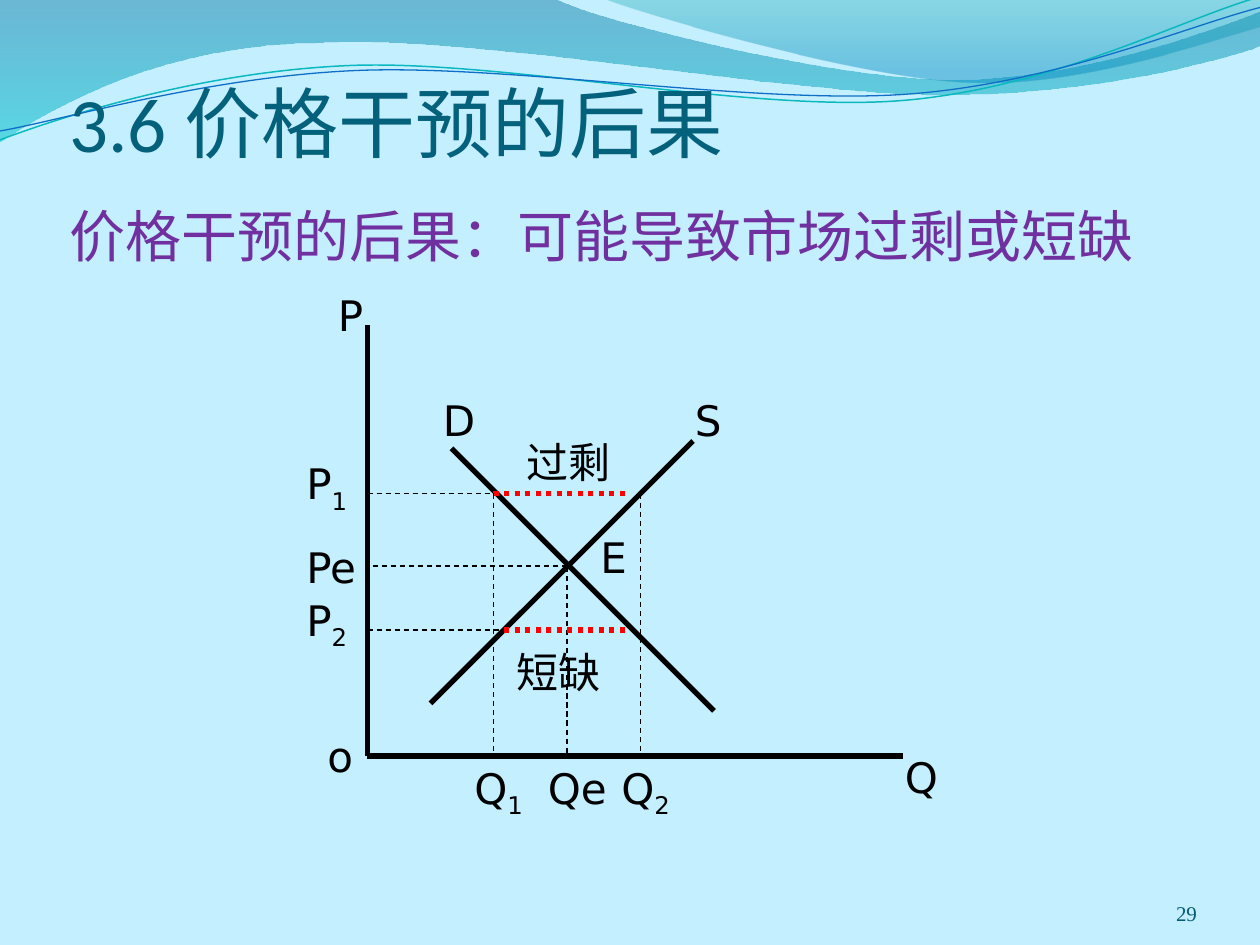
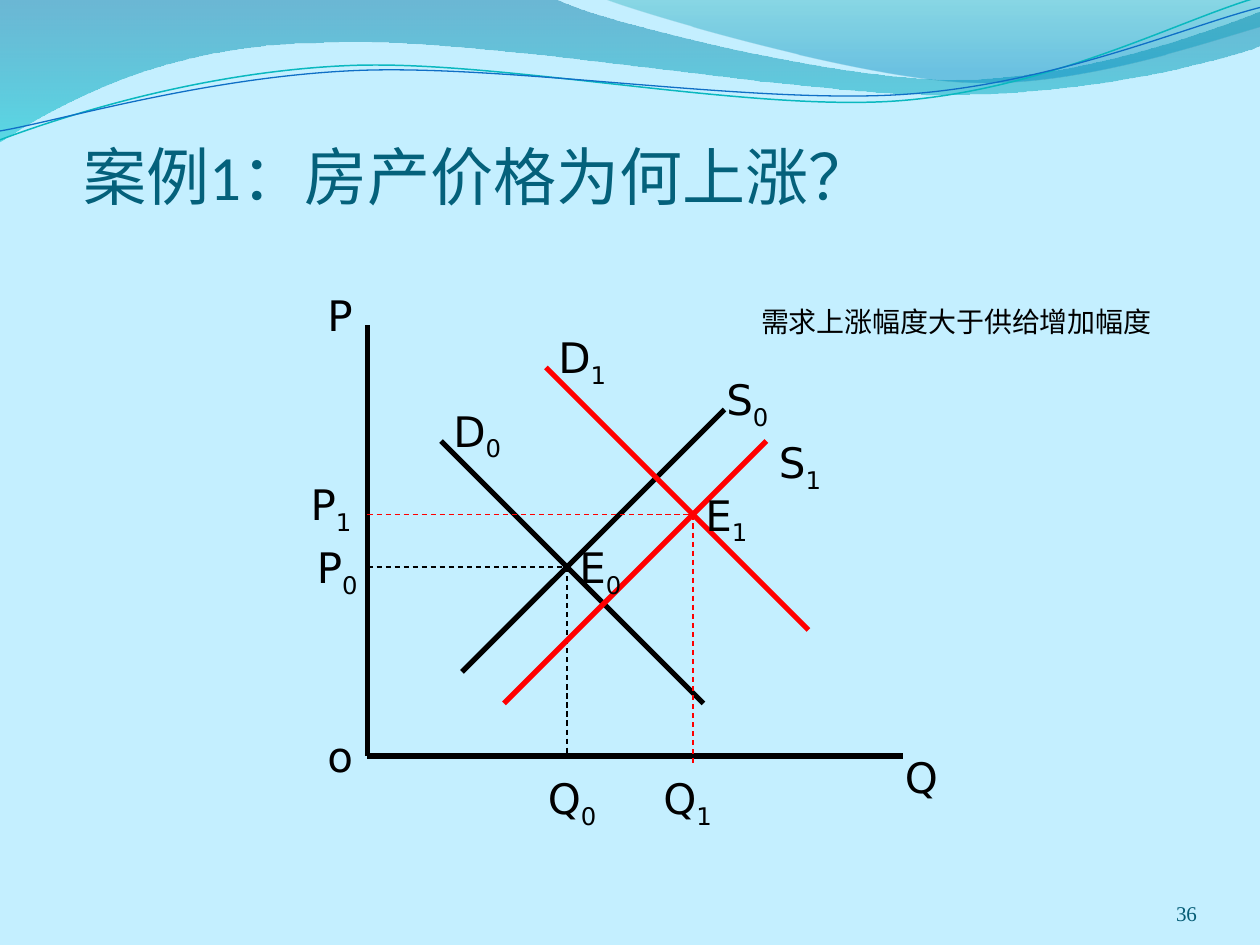
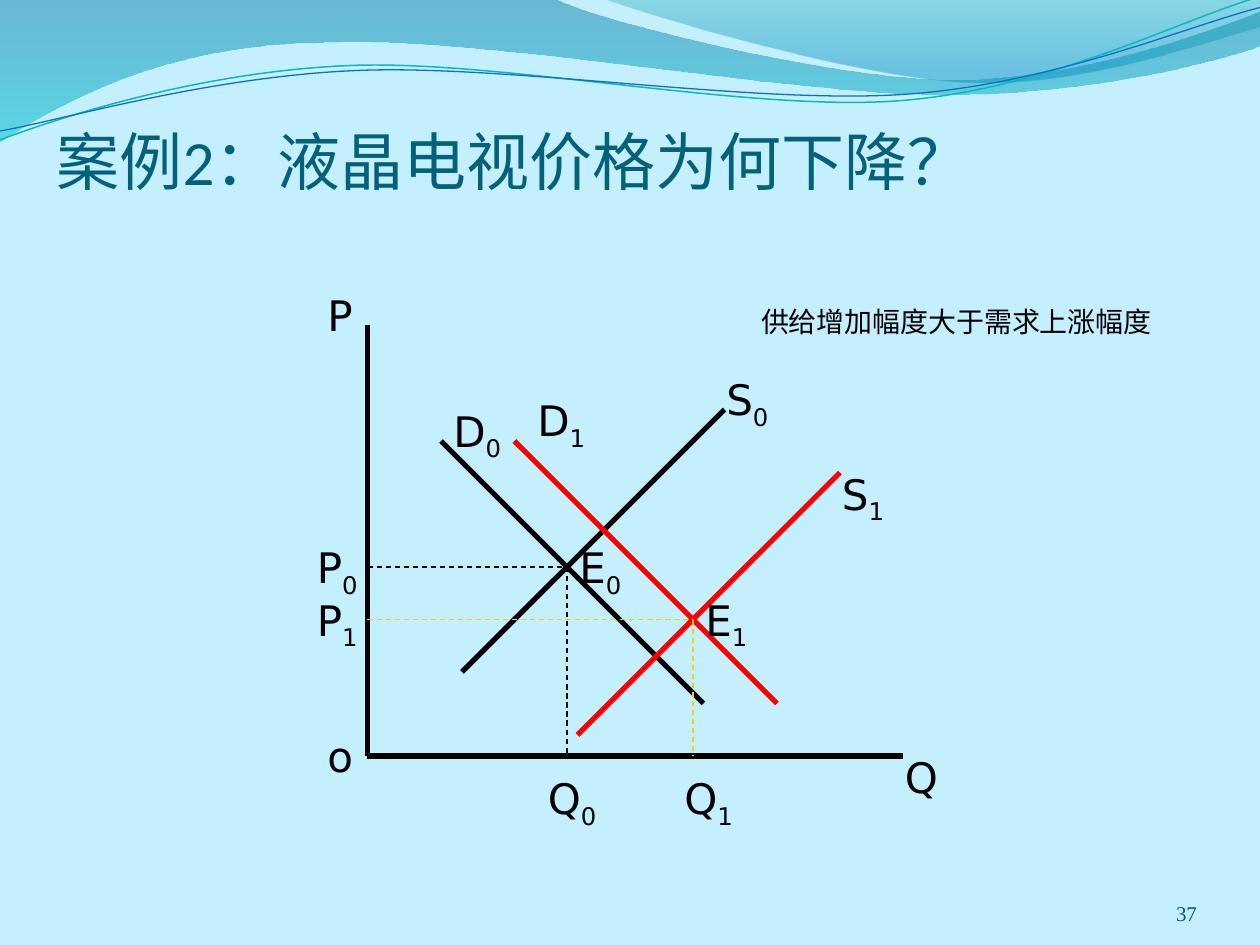
"""Builds three supply-and-demand slides on a shared wave theme."""
from math import cos, radians, sin
from lxml.etree import SubElement
from pptx import Presentation
from pptx.dml.color import RGBColor
from pptx.enum.dml import MSO_LINE
from pptx.enum.shapes import MSO_CONNECTOR
from pptx.enum.text import MSO_ANCHOR, MSO_AUTO_SIZE, PP_ALIGN
from pptx.oxml.ns import qn
from pptx.util import Cm, Pt

COLORS = {
    "sky": "C4EFFF", "title": "04617B", "subtitle": "7030A0", "number": "045C75",
    "ink": "000000", "red": "FF0000", "gold": "FFCC00",
    "teal_line": "0AB8BF", "blue_line": "0F6FC6",
    "deep": "0074A1", "aqua": "00C6CF", "sea": "00A1A9", "azure": "008BBF",
}
CJK, LABEL, HEADING, SERIF = "Noto Sans CJK SC", "DejaVu Sans", "Calibri", "Times New Roman"

BANDS = [
    ([(0, -0.01), (4.4, -0.01), (4.76, 0.17, 6.64, 0.63, 7.58, 0.63),
      (8.53, 0.63, 9.58, 0.26, 10, 0.09), (10.01, 0.36),
      (9.83, 0.44, 8.7, 0.76, 7.46, 0.75), (6.22, 0.75, 3.82, 0.28, 2.57, 0.34),
      (1.29, 0.35, 0.46, 0.83, -0.01, 1.13)],
     1.14, [(0, "deep", 45), (1, "aqua", 55)]),
    ([(4.79, -0.01), (5.09, 0.11, 6.82, 0.62, 7.69, 0.65),
      (8.56, 0.69, 9.61, 0.32, 10, 0.21), (10, 0)],
     0.7, [(0, "sea", 30), (0.8, "azure", 45)]),
]
STRANDS = [
    ([(0, 1.11), (0.48, 0.93, 1.58, 0.57, 2.77, 0.52), (3.95, 0.47, 5.93, 0.89, 7.13, 0.8),
      (8.33, 0.71, 9.38, 0.15, 9.98, -0.02)], 0.71, (4.99, 0.58), "teal_line", 0.85),
    ([(0, 1.04), (0.47, 0.96, 1.64, 0.61, 2.83, 0.56), (4.03, 0.51, 5.97, 0.83, 7.17, 0.75),
      (8.36, 0.67, 9.41, 0.21, 10, 0.06)], 0.58, (5, 0.59), "blue_line", 0.75),
]
TILT = 2.7

STYLES = {
    "solid": ("ink", 3, None), "shifted": ("red", 3, None),
    "gap": ("red", 3, MSO_LINE.ROUND_DOT), "guide": ("ink", 0.75, MSO_LINE.DASH),
    "red_guide": ("red", 0.75, MSO_LINE.DASH), "gold_guide": ("gold", 0.75, MSO_LINE.DASH),
}
AXES = [("solid", 35, 31, 35, 72), ("solid", 35, 72, 86, 72)]
AXIS_LABELS = [("o", 30, 69), ("Q", 85, 71)]
START_LINES = [
    ("solid", 42, 42, 67, 67), ("solid", 44, 64, 69, 39),
    ("guide", 35, 54, 54, 54), ("guide", 54, 54, 54, 72),
]
START_LABELS = [("S_0", 68, 35), ("Q_0", 51, 73), ("E_0", 54, 51), ("P_0", 29, 51), ("D_0", 42, 38)]

SLIDES = [
    {
        "number": "29", "title_box": (0.55, 1.47, 8.5, 0.66), "spacing": 1.5,
        "title": [("3.6 价格干预的后果\v", 44, HEADING, "title"),
                  ("价格干预的后果：可能导致市场过剩或短缺", 32, CJK, "subtitle")],
        "lines": [
            ("solid", 43, 42.7, 68, 67.7), ("solid", 41, 67, 66, 42),
            ("guide", 35.5, 53.9, 54.5, 53.9), ("guide", 54, 54, 54, 72),
            ("guide", 35, 47, 47, 47), ("gap", 47, 47, 60, 47),
            ("guide", 35, 60, 48, 60), ("gap", 48, 60, 60, 60),
            ("guide", 47, 47, 47, 72), ("guide", 61, 47, 61, 72),
        ],
        "labels": {
            7: [("P", 31, 27), ("D", 41, 37), ("S", 65, 37), ("E", 56, 50)],
            11: [("Pe", 28, 51), ("Qe", 51, 72), ("P_1", 28, 43), ("P_2", 28, 56),
                 ("Q_1", 44, 72), ("Q_2", 58, 72)],
            13: [("过剩", 49, 41), ("短缺", 48, 61)],
        },
    },
    {
        "number": "36", "title_box": (0.66, 0.97, 9, 0.72),
        "title": [("案例1：房产价格为何上涨？", 36, HEADING, "title")],
        "remark": "需求上涨幅度大于供给增加幅度",
        "lines": START_LINES + [
            ("shifted", 48, 67, 73, 42), ("shifted", 52, 35, 77, 60),
            ("red_guide", 35, 49, 66, 49), ("red_guide", 66, 49, 66, 73),
        ],
        "labels": {
            7: [("P", 30, 27)],
            12: START_LABELS + [("S_1", 73, 41), ("D_1", 52, 31), ("E_1", 66, 46),
                                ("Q_1", 62, 73), ("P_1", 28.4, 45)],
        },
    },
    {
        "number": "37", "title_box": (0.45, 0.32, 9, 1.25),
        "title": [("案例2：液晶电视价格为何下降？", 36, HEADING, "title")],
        "remark": "供给增加幅度大于需求上涨幅度",
        "lines": START_LINES + [
            ("shifted", 55, 70, 80, 45), ("shifted", 49, 42, 74, 67),
            ("gold_guide", 35, 59, 66, 59), ("gold_guide", 66, 59, 66, 72),
        ],
        "labels": {
            7: [("P", 30, 27)],
            12: START_LABELS + [("S_1", 79, 44), ("D_1", 50, 37), ("E_1", 66, 56),
                                ("Q_1", 64, 73), ("P_1", 29, 56)],
        },
    },
]


def inches(*values):
    return [Cm(2.54 * v) for v in values]


def grid(*steps):
    return inches(*(n / 12 for n in steps))


def rgb(name):
    return RGBColor.from_string(COLORS[name])


def pairs(segment):
    return list(zip(segment[::2], segment[1::2]))


def level(point, center):
    a, dx, dy = radians(TILT), point[0] - center[0], point[1] - center[1]
    return center[0] + dx * cos(a) - dy * sin(a), center[1] + dx * sin(a) + dy * cos(a)


def add_wave(slide, segments, height, close):
    curves = [[inches(*point) for point in segment] for segment in segments]
    anchors = [curve[-1] for curve in curves]
    builder = slide.shapes.build_freeform(*anchors[0], scale=1.0)
    builder.add_line_segments(anchors[1:], close=close)
    s = builder.convert_to_shape()
    s.shadow.inherit = False
    outline = next(s._element.iter(qn("a:path")))
    for line, curve in zip(outline.findall(qn("a:lnTo")), curves[1:]):
        if len(curve) == 3:
            bezier = SubElement(outline, qn("a:cubicBezTo"))
            for x, y in curve:
                pt = SubElement(bezier, qn("a:pt"))
                pt.set("x", str(x - s.left))
                pt.set("y", str(y - s.top))
            outline.replace(line, bezier)
    s.height = inches(height)[0]
    outline.set("h", str(s.height))
    return s


def add_theme(slide):
    slide.background.fill.solid()
    slide.background.fill.fore_color.rgb = rgb("sky")
    for segments, height, stops in BANDS:
        s = add_wave(slide, [pairs(segment) for segment in segments], height, True)
        s.line.fill.background()
        s.fill.gradient()
        s.fill.gradient_angle = 270
        for stop, (position, color, _) in zip(s.fill.gradient_stops, stops):
            stop.position, stop.color.rgb = position, rgb(color)
        for clr, (_, _, opacity) in zip(s._element.spPr.iter(qn("a:srgbClr")), stops):
            SubElement(clr, qn("a:alpha")).set("val", str(opacity * 1000))
    for segments, height, center, color, width in STRANDS:
        flat = [[level(point, center) for point in pairs(segment)] for segment in segments]
        s = add_wave(slide, flat, height, False)
        s.rotation = 360 - TILT
        s.fill.background()
        s.line.color.rgb, s.line.width = rgb(color), Pt(width)


def style_run(r, size, font, color):
    r.font.size, r.font.name, r.font.color.rgb = Pt(size), font, rgb(color)
    SubElement(r._r.get_or_add_rPr(), qn("a:ea")).set("typeface", CJK)


def add_text(slide, box, runs, margins=None, anchor=MSO_ANCHOR.TOP):
    tf = slide.shapes.add_textbox(*box).text_frame
    tf.word_wrap, tf.vertical_anchor = True, anchor
    if margins:
        tf.margin_left, tf.margin_top, tf.margin_right, tf.margin_bottom = inches(*margins)
    p = tf.paragraphs[0]
    p.text = "".join(text for text, *_ in runs)
    for r, (_, size, font, color) in zip(p.runs, runs):
        style_run(r, size, font, color)
    return tf


def add_label(slide, text, x, y, width):
    base, _, sub = text.partition("_")
    tf = add_text(slide, grid(x, y, width, 6), [(base, 24, LABEL, "ink")])
    tf.auto_size = MSO_AUTO_SIZE.SHAPE_TO_FIT_TEXT
    if sub:
        r = tf.paragraphs[0].add_run()
        r.text = sub
        style_run(r, 24, LABEL, "ink")
        r.font._element.set("baseline", "-25000")


def add_line(slide, style, *ends):
    color, width, dash = STYLES[style]
    s = slide.shapes.add_connector(MSO_CONNECTOR.STRAIGHT, *grid(*ends))
    s.line.color.rgb, s.line.width = rgb(color), Pt(width)
    if dash:
        s.line.dash_style = dash
    SubElement(s._element.spPr, qn("a:effectLst"))


def add_slide(prs, data):
    slide = prs.slides.add_slide(prs.slide_layouts[6])
    add_theme(slide)
    tf = add_text(slide, inches(8.67, 6.95, 0.83, 0.4), [(data["number"], 12, SERIF, "number")],
                  (0, 0, 0, 0), MSO_ANCHOR.BOTTOM)
    tf.paragraphs[0].alignment = PP_ALIGN.RIGHT
    tf = add_text(slide, inches(*data["title_box"]), data["title"], (0, 0.05, 0, 0), MSO_ANCHOR.BOTTOM)
    if "spacing" in data:
        tf.paragraphs[0].line_spacing = data["spacing"]
    for line in AXES + data["lines"]:
        add_line(slide, *line)
    for label in AXIS_LABELS:
        add_label(slide, *label, 7)
    for width, labels in data["labels"].items():
        for label in labels:
            add_label(slide, *label, width)
    if "remark" in data:
        add_text(slide, inches(6.04, 2.27, 3.38, 0.41), [(data["remark"], 16, HEADING, "ink")],
                 (0, 0.05, 0, 0), MSO_ANCHOR.BOTTOM)


def main():
    prs = Presentation()
    prs.slide_width, prs.slide_height = inches(10, 7.5)
    for data in SLIDES:
        add_slide(prs, data)
    prs.save("out.pptx")


if __name__ == "__main__":
    main()
